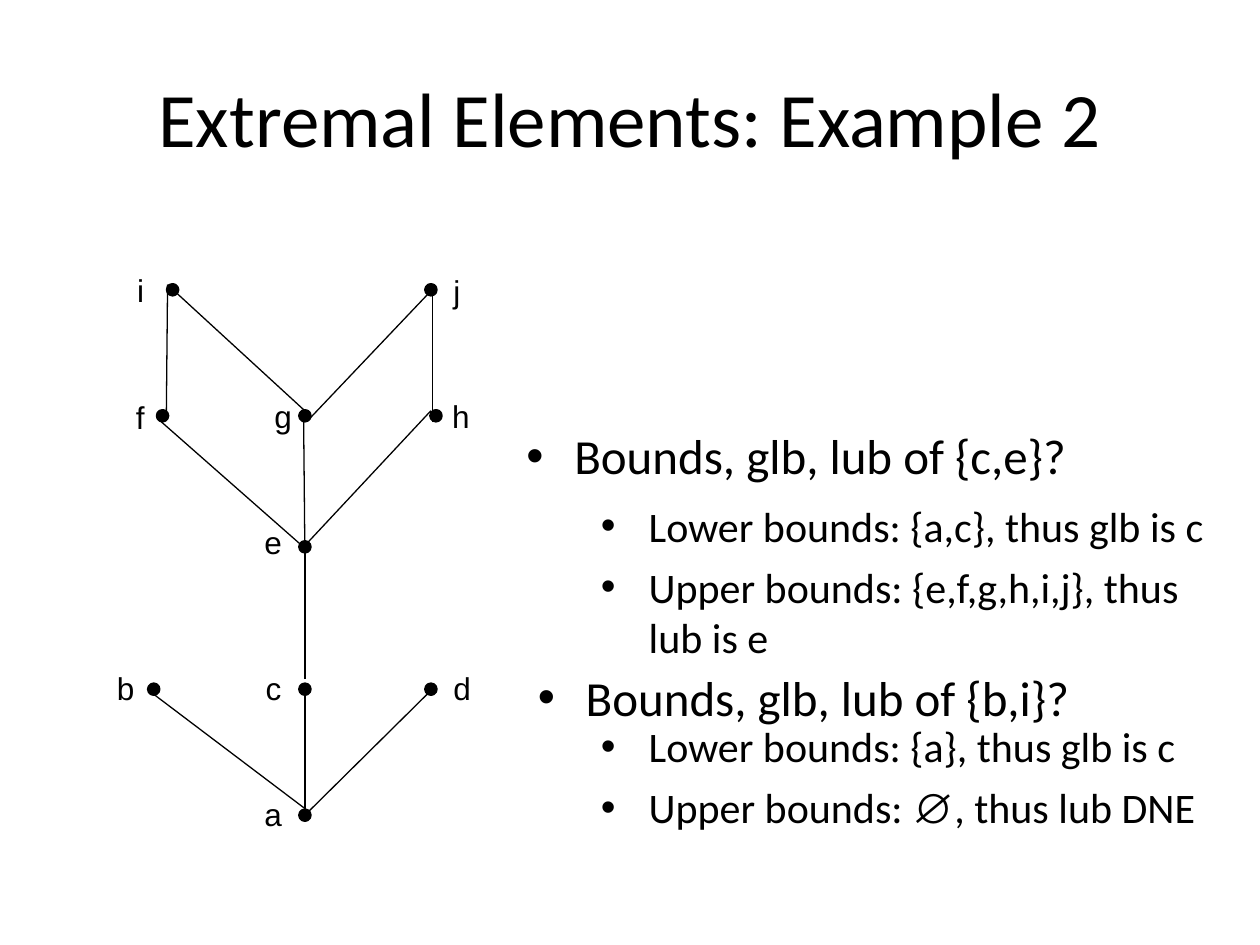
from dataclasses import dataclass

from lxml.etree import SubElement
from pptx import Presentation
from pptx.dml.color import RGBColor
from pptx.enum.shapes import MSO_CONNECTOR as Connector, MSO_SHAPE as Preset
from pptx.enum.text import MSO_ANCHOR as Anchor, PP_ALIGN as Align
from pptx.oxml.ns import qn
from pptx.util import Inches, Pt


@dataclass(frozen=True)
class Theme:
    ink: RGBColor = RGBColor(0, 0, 0)
    body_font: str = "Calibri"
    label_font: str = "Arial"
    title_size: int = 44
    question_size: int = 28
    answer_size: int = 24
    label_size: int = 18
    edge_width: float = 0.75
    dot_outline: float = 2


THEME = Theme()
TITLE = "Extremal Elements: Example 2"
DOT = 0.08
EMPTY_SET = "∅"

# Element: dot left, top; label left, top, width
ELEMENTS = {
    "a": ((2.38, 6.43), (2.00, 6.26, 0.34)),
    "b": ((1.18, 5.43), (0.83, 5.26, 0.33)),
    "c": ((2.38, 5.43), (2.01, 5.26, 0.32)),
    "d": ((3.38, 5.43), (3.50, 5.26, 0.34)),
    "e": ((2.38, 4.30), (2.00, 4.10, 0.34)),
    "f": ((1.25, 3.26), (0.98, 3.11, 0.27)),
    "g": ((2.38, 3.26), (2.08, 3.10, 0.34)),
    "h": ((3.42, 3.26), (3.49, 3.10, 0.34)),
    "i": ((1.33, 2.26), (0.99, 2.10, 0.25)),
    "j": ((3.38, 2.26), (3.50, 2.11, 0.25)),
}

# Covering relation: each pair with the ends of its edge
COVERS = {
    "ab": ((2.45, 6.44), (1.22, 5.51)),
    "ac": ((2.42, 6.43), (2.42, 5.43)),
    "ad": ((2.45, 6.44), (3.40, 5.50)),
    "ce": ((2.42, 5.39), (2.42, 4.35)),
    "ef": ((2.43, 4.36), (1.26, 3.33)),
    "eg": ((2.42, 4.39), (2.41, 3.35)),
    "eh": ((2.42, 4.33), (3.42, 3.26)),
    "fi": ((1.32, 3.33), (1.33, 2.26)),
    "gi": ((2.43, 3.27), (1.33, 2.26)),
    "gj": ((2.45, 3.33), (3.40, 2.33)),
    "hj": ((3.43, 3.35), (3.43, 2.26)),
}

# Box, then lines
QUESTIONS = [
    ((4.08, 3.33, 5.75, 0.67), ["Bounds, glb, lub of {c,e}?"]),
    ((4.17, 5.25, 5.75, 0.67), ["Bounds, glb, lub of {b,i}?"]),
]
ANSWERS = [
    ((4.17, 3.92, 5.75, 1.42), ["Lower bounds: {a,c}, thus glb is c",
                                "Upper bounds: {e,f,g,h,i,j}, thus lub is e"]),
    ((4.17, 5.67, 5.75, 1.08), ["Lower bounds: {a}, thus glb is c",
                                "Upper bounds: ∅, thus lub DNE"]),
]


def split_symbols(line):
    """Split a line so that each empty-set sign is a piece of its own."""
    before, sign, after = line.partition(EMPTY_SET)
    return [piece for piece in (before, sign, after) if piece]


def add_text(slide, box, lines, size, font=THEME.body_font, align=Align.LEFT,
             anchor=Anchor.TOP, wrap=True, level=0, indent=None, before=0):
    frame = slide.shapes.add_textbox(*map(Inches, box)).text_frame
    frame.word_wrap, frame.vertical_anchor = wrap, anchor
    for number, line in enumerate(lines):
        paragraph = frame.add_paragraph() if number else frame.paragraphs[0]
        paragraph.alignment, paragraph.level = align, level
        paragraph.space_before = Pt(before)
        for piece in split_symbols(line):
            run = paragraph.add_run()
            run.text = piece
            run.font.size = Pt(size)
            run.font.name = THEME.label_font if piece == EMPTY_SET else font
            run.font.color.rgb = THEME.ink
        if indent is not None:
            add_bullet(paragraph, indent)


def add_bullet(paragraph, indent, hang=0.38):
    props = paragraph._p.get_or_add_pPr()
    props.set("marL", str(Inches(indent)))
    props.set("indent", str(-Inches(hang)))
    SubElement(props, qn("a:buFont"), typeface=THEME.label_font)
    SubElement(props, qn("a:buChar"), char="•")


def add_edge(slide, start, end):
    edge = slide.shapes.add_connector(Connector.STRAIGHT, *map(Inches, start + end))
    edge.line.color.rgb = THEME.ink
    edge.line.width = Pt(THEME.edge_width)
    SubElement(edge._element.spPr, qn("a:effectLst"))


def add_dot(slide, left, top):
    dot = slide.shapes.add_shape(Preset.OVAL, *map(Inches, (left, top, DOT, DOT)))
    dot.shadow.inherit = False
    dot.fill.solid()
    dot.fill.fore_color.rgb = dot.line.color.rgb = THEME.ink
    dot.line.width = Pt(THEME.dot_outline)


def main():
    deck = Presentation()
    deck.slide_width, deck.slide_height = Inches(10), Inches(7.5)
    slide = deck.slides.add_slide(deck.slide_layouts[6])

    # Title
    add_text(slide, (0.5, 0.3, 9, 1.25), [TITLE], THEME.title_size,
             align=Align.CENTER, anchor=Anchor.MIDDLE)

    # Hasse diagram
    for start, end in COVERS.values():
        add_edge(slide, start, end)
    for name, (dot_place, (left, top, width)) in ELEMENTS.items():
        add_dot(slide, *dot_place)
        add_text(slide, (left, top, width, 0.4), [name], THEME.label_size,
                 font=THEME.label_font, wrap=False)

    # Questions and answers
    for box, lines in QUESTIONS:
        add_text(slide, box, lines, THEME.question_size, indent=0.38, before=7)
    for box, lines in ANSWERS:
        add_text(slide, box, lines, THEME.answer_size, level=1, indent=0.88, before=6)

    deck.save("out.pptx")


if __name__ == "__main__":
    main()
